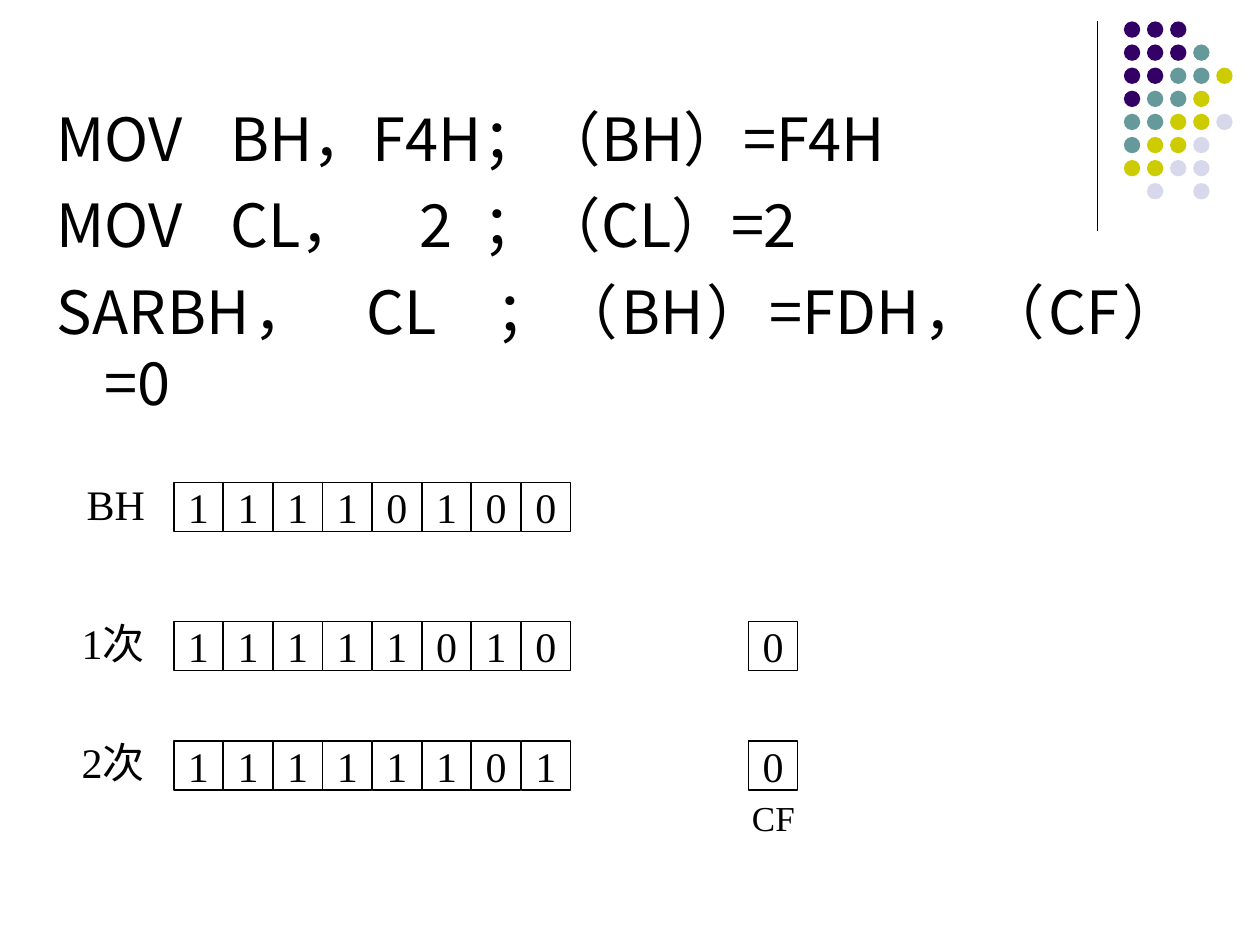
from dataclasses import dataclass
from lxml.etree import SubElement as Sub
from pptx import Presentation as Deck
from pptx.dml.color import RGBColor as Rgb
from pptx.enum.shapes import MSO_CONNECTOR as Link, MSO_SHAPE as Kind
from pptx.enum.text import MSO_ANCHOR as Anchor, MSO_AUTO_SIZE as Fit, PP_ALIGN as Align
from pptx.oxml.ns import qn
from pptx.util import Inches, Pt


@dataclass(frozen=True)
class Theme:
    ink: str = "000000"
    paper: str = "FFFFFF"
    sans: str = "Noto Sans CJK SC"
    serif: str = "Times New Roman"
    code: int = 34
    digit: int = 24
    note: int = 20
    rule: float = 0.75


THEME = Theme()
DOTS = {"P": "330066", "T": "669999", "Y": "CCCC00", "L": "D8D8EC"}
GRID = ["PPP", "PPPT", "PPTTY", "PTTY", "TTYYL", "TYYL", "YYLL", " L L"]
DOT, STEP = 0.13, 0.55 / 3
CELL, PITCH = 0.39, 3.15 / 8
LEFT, CARRY = 1.38, 5.94

# Each line of code with its tab stops, in inches from the indent.
CODE = [
    ("MOV\tBH，F4H\t；（BH）=F4H", (1, 4)),
    ("MOV\tCL，\t2\t；（CL）=2", (1, 2.47, 3)),
    ("SAR\tBH，\tCL\t；（BH）=FDH，（CF）=0", (1, 2.72, 4.19)),
]
# Label, its left edge, top of the cells, bits and carry flag.
ROWS = [
    ("BH", 0.59, 3.83, "11110100", ""),
    ("1次", 0.55, 4.93, "11111010", "0"),
    ("2次", 0.55, 5.88, "11111101", "0"),
]


def write(para, text, size, face, color=THEME.ink, align=Align.LEFT):
    para.alignment = align
    run = para.add_run()
    run.text = text
    font = run.font
    font.size, font.name = Pt(size), face
    font.color.rgb = Rgb.from_string(color)
    east = Sub(font._element, qn("a:ea"))
    east.set("typeface", THEME.sans)


def set_stops(para, stops, indent):
    """Give a paragraph a hanging indent, no bullet and left tab stops."""
    props = para._p.get_or_add_pPr()
    props.set("marL", str(Inches(indent)))
    props.set("indent", str(-Inches(indent)))
    Sub(props, qn("a:buNone"))
    tabs = Sub(props, qn("a:tabLst"))
    for stop in stops:
        Sub(tabs, qn("a:tab"), pos=str(Inches(stop)), algn="l")


class Board:
    """Holds the theme and the slide that is being drawn."""

    def __init__(self, slide, theme):
        self.slide, self.theme = slide, theme
        self.shapes = slide.shapes

    def shape(self, kind, x, y, size, fill):
        item = self.shapes.add_shape(kind, Inches(x), Inches(y), Inches(size), Inches(size))
        item.shadow.inherit = False
        item.fill.solid()
        item.fill.fore_color.rgb = Rgb.from_string(fill)
        return item

    def dot(self, x, y, fill):
        self.shape(Kind.OVAL, x, y, DOT, fill).line.fill.background()

    def cell(self, x, y, bit):
        box = self.shape(Kind.RECTANGLE, x, y, CELL, self.theme.paper)
        box.line.color.rgb = Rgb.from_string(self.theme.ink)
        box.line.width = Pt(self.theme.rule)
        frame = box.text_frame
        frame.word_wrap = False
        frame.vertical_anchor = Anchor.MIDDLE
        write(frame.paragraphs[0], bit, self.theme.digit, self.theme.serif, align=Align.CENTER)

    def label(self, x, y, w, h, text, size):
        box = self.shapes.add_textbox(Inches(x), Inches(y), Inches(w), Inches(h))
        frame = box.text_frame
        frame.word_wrap = False
        frame.auto_size = Fit.SHAPE_TO_FIT_TEXT
        write(frame.paragraphs[0], text, size, self.theme.serif)

    def line(self, x, top, end):
        rule = self.shapes.add_connector(Link.STRAIGHT, Inches(x), Inches(top), Inches(x), Inches(end))
        rule.line.color.rgb = Rgb.from_string(self.theme.ink)
        rule.line.width = Pt(self.theme.rule)
        Sub(rule._element.spPr, qn("a:effectLst"))

    def body(self, x, y, w, h, lines):
        box = self.slide.placeholders[1]
        box.left, box.top, box.width, box.height = map(Inches, (x, y, w, h))
        frame = box.text_frame
        frame.auto_size = Fit.NONE
        frame.vertical_anchor = Anchor.TOP
        for i, (text, stops) in enumerate(lines):
            para = frame.add_paragraph() if i else frame.paragraphs[0]
            set_stops(para, stops, 0.38)
            para.space_before = Pt(8.5 if i else 0)
            write(para, text, self.theme.code, self.theme.sans, align=Align.JUSTIFY)


def main():
    deck = Deck()
    deck.slide_width, deck.slide_height = Inches(10), Inches(7.5)
    slide = deck.slides.add_slide(deck.slide_layouts[1])
    title = slide.shapes.title._element
    title.getparent().remove(title)
    board = Board(slide, THEME)

    board.line(8.71, 0.17, 1.83)
    for r, row in enumerate(GRID):
        for c, key in enumerate(row):
            if key in DOTS:
                board.dot(8.92 + c * STEP, 0.17 + r * STEP, DOTS[key])

    board.body(0.35, 0.76, 9.13, 2.68, CODE)
    for name, x, top, bits, carry in ROWS:
        board.label(x, top - 0.08, 0.7, 0.5, name, THEME.digit)
        for i, bit in enumerate(bits):
            board.cell(LEFT + i * PITCH, top, bit)
        if carry:
            board.cell(CARRY, top, carry)
    board.label(5.87, 6.27, 0.54, 0.44, "CF", THEME.note)
    deck.save("out.pptx")


if __name__ == "__main__":
    main()
